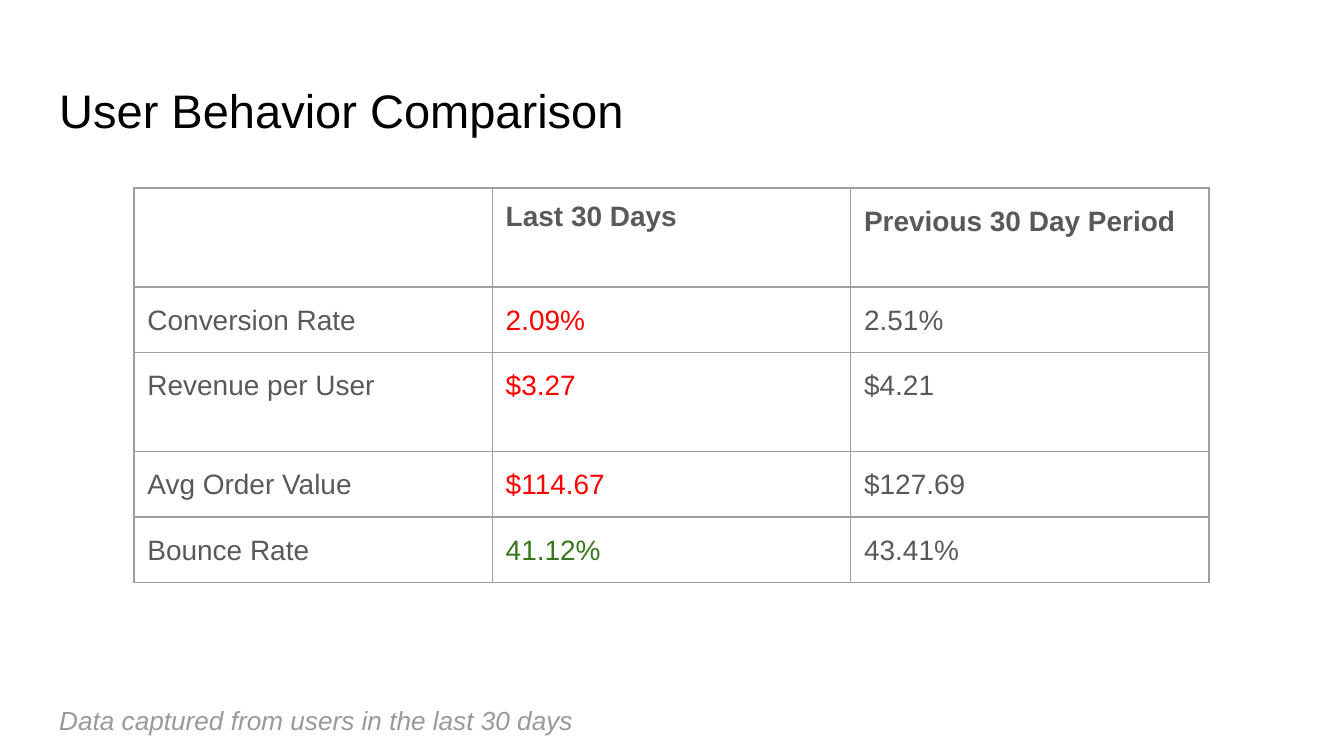
import lxml.etree
import pptx
import pptx.dml.color
import pptx.enum.text
import pptx.oxml.ns
import pptx.util

PX = 914400 / 134.4
GRAY, RED, GREEN = "595959", "FF0000", "38761D"
ROWS = [
    ("", "Last 30 Days", "Previous 30 Day Period"),
    ("Conversion Rate", "2.09%", "2.51%"),
    ("Revenue per User", "$3.27", "$4.21"),
    ("Avg Order Value", "$114.67", "$127.69"),
    ("Bounce Rate", "41.12%", "43.41%"),
]
ROW_HEIGHTS = [99, 65, 99, 65, 65]
CURRENT_COLORS = [GRAY, RED, RED, RED, GREEN]


def px(n):
    """Turn pixels into EMU."""
    return pptx.util.Emu(round(n * PX))


def rgb(value):
    """Turn a hex string into a colour."""
    return pptx.dml.color.RGBColor.from_string(value)


def style_text(p, text, size, color, bold=False, italic=False):
    """Set a paragraph's text and format its runs."""
    p.text = text
    for r in p.runs:
        r.font.name = "Arial"
        r.font.size = pptx.util.Pt(size)
        r.font.color.rgb = rgb(color)
        r.font.bold = bold
        r.font.italic = italic


def set_margins(obj):
    """Give a cell or text frame equal margins on all sides."""
    for side in ("left", "top", "right", "bottom"):
        setattr(obj, f"margin_{side}", pptx.util.Inches(0.1))


def add_text(s, box, text, size, color, anchor, italic=False):
    """Place one line of text in a box."""
    tf = s.shapes.add_textbox(*map(px, box)).text_frame
    tf.word_wrap = True
    tf.vertical_anchor = anchor
    set_margins(tf)
    style_text(tf.paragraphs[0], text, size, color, italic=italic)


def add_borders(cell, color, width):
    """Draw all four borders of a cell."""
    tc_pr = cell._tc.get_or_add_tcPr()
    qn = pptx.oxml.ns.qn
    for i, side in enumerate(("lnL", "lnR", "lnT", "lnB")):
        ln = lxml.etree.Element(qn(f"a:{side}"), w=str(pptx.util.Pt(width)))
        fill = lxml.etree.SubElement(ln, qn("a:solidFill"))
        lxml.etree.SubElement(fill, qn("a:srgbClr"), val=color)
        tc_pr.insert(i, ln)


def add_comparison(s, box):
    """Place the comparison table in a box."""
    x, y, w, h = box
    cols = len(ROWS[0])
    table = s.shapes.add_table(len(ROWS), cols, px(x), px(y), px(w), px(h)).table
    table.first_row = table.horz_banding = False
    for col in table.columns:
        col.width = px(w / cols)
    for i, texts in enumerate(ROWS):
        table.rows[i].height = px(ROW_HEIGHTS[i])
        for j, text in enumerate(texts):
            cell = table.cell(i, j)
            cell.fill.background()
            set_margins(cell)
            add_borders(cell, "9E9E9E", 0.75)
            p = cell.text_frame.paragraphs[0]
            p.space_after = pptx.util.Pt(12)
            p.line_spacing = 1.0 if (i, j) == (0, 1) else 1.15
            color = CURRENT_COLORS[i] if j == 1 else GRAY
            style_text(p, text, 15, color, bold=i == 0)


def main():
    """Build and save the slide."""
    prs = pptx.Presentation()
    prs.slide_width, prs.slide_height = px(1344), px(756)
    s = prs.slides.add_slide(prs.slide_layouts[6])
    anchor = pptx.enum.text.MSO_ANCHOR
    add_text(s, (46, 66, 1252, 85), "User Behavior Comparison", 25.2, "000000", anchor.BOTTOM)
    add_comparison(s, (134, 188, 1075, sum(ROW_HEIGHTS)))
    add_text(s, (46, 691, 953, 59), "Data captured from users in the last 30 days",
             14, "999999", anchor.TOP, italic=True)
    prs.save("out.pptx")


if __name__ == "__main__":
    main()
